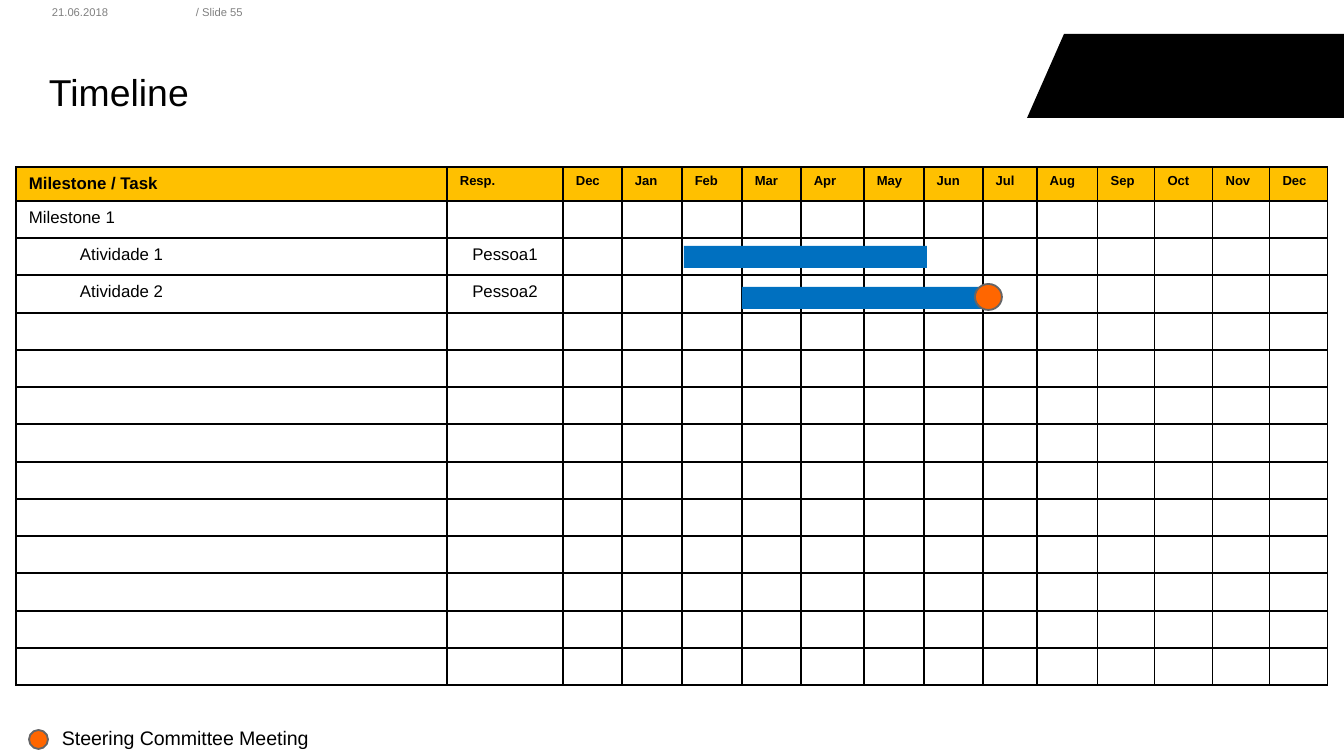
from dataclasses import dataclass
from itertools import pairwise

from lxml import etree
from pptx import Presentation
from pptx.dml.color import RGBColor
from pptx.enum.shapes import MSO_SHAPE
from pptx.enum.text import MSO_ANCHOR, PP_ALIGN
from pptx.oxml.ns import qn
from pptx.util import Pt

RECTANGLE, OVAL = MSO_SHAPE.RECTANGLE, MSO_SHAPE.OVAL
TOP, MIDDLE = MSO_ANCHOR.TOP, MSO_ANCHOR.MIDDLE
LEFT, CENTER = PP_ALIGN.LEFT, PP_ALIGN.CENTER

EMU_PER_PX = 914400 / 134.4
FONT = "Arial"
COLORS = {
    "black": "000000", "white": "FFFFFF", "gray": "808080", "header": "FFC000",
    "bar": "0070C0", "meeting": "FF6600", "outline": "656567",
}

TABLE_LEFT, TABLE_TOP = 16, 167
COLUMN_WIDTHS = [431, 116, 59, 60, 60, 59, 63, 60, 59, 54, 61, 57, 58, 57, 58]
HEADER_HEIGHT, BODY_HEIGHT, BODY_ROWS = 34, 484, 13
TASK_INDENT = 51
HEADERS = ["Milestone / Task", "Resp.", "Dec", "Jan", "Feb", "Mar", "Apr", "May",
           "Jun", "Jul", "Aug", "Sep", "Oct", "Nov", "Dec"]
TASKS = [("Milestone 1", ""), ("Atividade 1", "Pessoa1"), ("Atividade 2", "Pessoa2")]
BANNER_POINTS = [(1064, 34), (1344, 34), (1344, 118), (1027, 118)]


@dataclass
class Label:
    """A line of text with its place in px and its style."""
    text: str
    left: int
    top: int
    width: int
    height: int
    size: float
    color: str = "black"
    inset_x: int = 0
    inset_y: int = 0
    anchor: MSO_ANCHOR = TOP
    line_points: float | None = None
    wrap: bool = True


@dataclass
class Mark:
    """A bar or a meeting dot on the timeline, in px."""
    kind: MSO_SHAPE
    left: int
    top: int
    width: int
    height: int
    fill: str
    outline: str | None = None


LABELS = [
    Label("Timeline", 37, 59, 930, 65, 20, inset_x=12, inset_y=5, anchor=MIDDLE),
    Label("21.06.2018", 52, 5, 114, 27, 6, "gray", line_points=7.5),
    Label("/ Slide 55", 196, 5, 82, 27, 6, "gray", line_points=7.5),
    Label("Steering Committee Meeting", 49, 719, 289, 32, 10.5,
          inset_x=13, inset_y=7, wrap=False),
]
MARKS = [
    Mark(OVAL, 29, 730, 19, 19, "meeting", "outline"),
    Mark(RECTANGLE, 684, 246, 243, 22, "bar"),
    Mark(RECTANGLE, 742, 287, 243, 22, "bar"),
    Mark(OVAL, 975, 284, 27, 26, "meeting", "outline"),
]


def px(length: int) -> int:
    """Turn px into EMU."""
    return round(length * EMU_PER_PX)


def rgb(name: str) -> RGBColor:
    """Look up a colour by name."""
    return RGBColor.from_string(COLORS[name])


def paint(item, color: str) -> None:
    """Give a shape or a cell a solid fill."""
    item.fill.solid()
    item.fill.fore_color.rgb = rgb(color)


def style(para, size: float, color: str = "black", bold: bool = False) -> None:
    """Set the font of a paragraph."""
    para.font.name = FONT
    para.font.size = Pt(size)
    para.font.bold = bold
    para.font.color.rgb = rgb(color)


def add_label(page, label: Label) -> None:
    """Add a text box."""
    box = page.shapes.add_textbox(px(label.left), px(label.top),
                                  px(label.width), px(label.height))
    frame = box.text_frame
    frame.word_wrap = label.wrap
    frame.vertical_anchor = label.anchor
    frame.margin_left = frame.margin_right = px(label.inset_x)
    frame.margin_top = frame.margin_bottom = px(label.inset_y)
    para = frame.paragraphs[0]
    para.text = label.text
    if label.line_points:
        para.line_spacing = Pt(label.line_points)
    style(para, label.size, label.color)


def add_mark(page, mark: Mark) -> None:
    """Add a bar or a dot."""
    shape = page.shapes.add_shape(mark.kind, px(mark.left), px(mark.top),
                                  px(mark.width), px(mark.height))
    shape.shadow.inherit = False
    paint(shape, mark.fill)
    if mark.outline:
        shape.line.color.rgb = rgb(mark.outline)
        shape.line.width = Pt(1)
    else:
        shape.line.fill.background()


def add_banner(page) -> None:
    """Add the slanted block at the top right."""
    builder = page.shapes.build_freeform(*BANNER_POINTS[0], scale=EMU_PER_PX)
    builder.add_line_segments(BANNER_POINTS[1:], close=True)
    banner = builder.convert_to_shape()
    banner.shadow.inherit = False
    paint(banner, "black")
    banner.line.fill.background()


def add_borders(cell) -> None:
    """Draw a thin black line on each side of a cell."""
    properties = cell._tc.get_or_add_tcPr()
    for index, side in enumerate(("lnL", "lnR", "lnT", "lnB")):
        line = etree.Element(qn(f"a:{side}"), w=str(Pt(1)))
        solid = etree.SubElement(line, qn("a:solidFill"))
        etree.SubElement(solid, qn("a:srgbClr"), val=COLORS["black"])
        properties.insert(index, line)


def fill_cell(cell, text: str, row: int, column: int) -> None:
    """Write and style one cell of the plan."""
    header = row == 0
    paint(cell, "header" if header else "white")
    add_borders(cell)
    cell.margin_left = cell.margin_right = px(13)
    cell.margin_top = cell.margin_bottom = px(7)
    para = cell.text_frame.paragraphs[0]
    size = 7 if header and column else 9
    if text:
        para.text = text
        para.alignment = CENTER if column == 1 and not header else LEFT
        if column == 0 and row > 1:
            para._p.get_or_add_pPr().set("marL", str(px(TASK_INDENT)))
        style(para, size, bold=header)
    else:
        etree.SubElement(para._p, qn("a:endParaRPr"), sz=str(size * 100))


def add_plan(page) -> None:
    """Add the table of milestones and months."""
    edges = [round(BODY_HEIGHT * step / BODY_ROWS) for step in range(BODY_ROWS + 1)]
    heights = [HEADER_HEIGHT] + [low - high for high, low in pairwise(edges)]
    table = page.shapes.add_table(len(heights), len(COLUMN_WIDTHS),
                                  px(TABLE_LEFT), px(TABLE_TOP),
                                  px(sum(COLUMN_WIDTHS)), px(sum(heights))).table
    table.first_row = table.horz_banding = False
    for column, width in zip(table.columns, COLUMN_WIDTHS):
        column.width = px(width)
    contents = [HEADERS, *TASKS]
    for row, height in enumerate(heights):
        table.rows[row].height = px(height)
        texts = contents[row] if row < len(contents) else ()
        for column in range(len(COLUMN_WIDTHS)):
            text = texts[column] if column < len(texts) else ""
            fill_cell(table.cell(row, column), text, row, column)


def main() -> None:
    """Build the timeline slide."""
    deck = Presentation()
    deck.slide_width, deck.slide_height = px(1344), px(756)
    page = deck.slides.add_slide(deck.slide_layouts[6])
    add_banner(page)
    add_plan(page)
    for label in LABELS:
        add_label(page, label)
    for mark in MARKS:
        add_mark(page, mark)
    deck.save("out.pptx")


if __name__ == "__main__":
    main()
